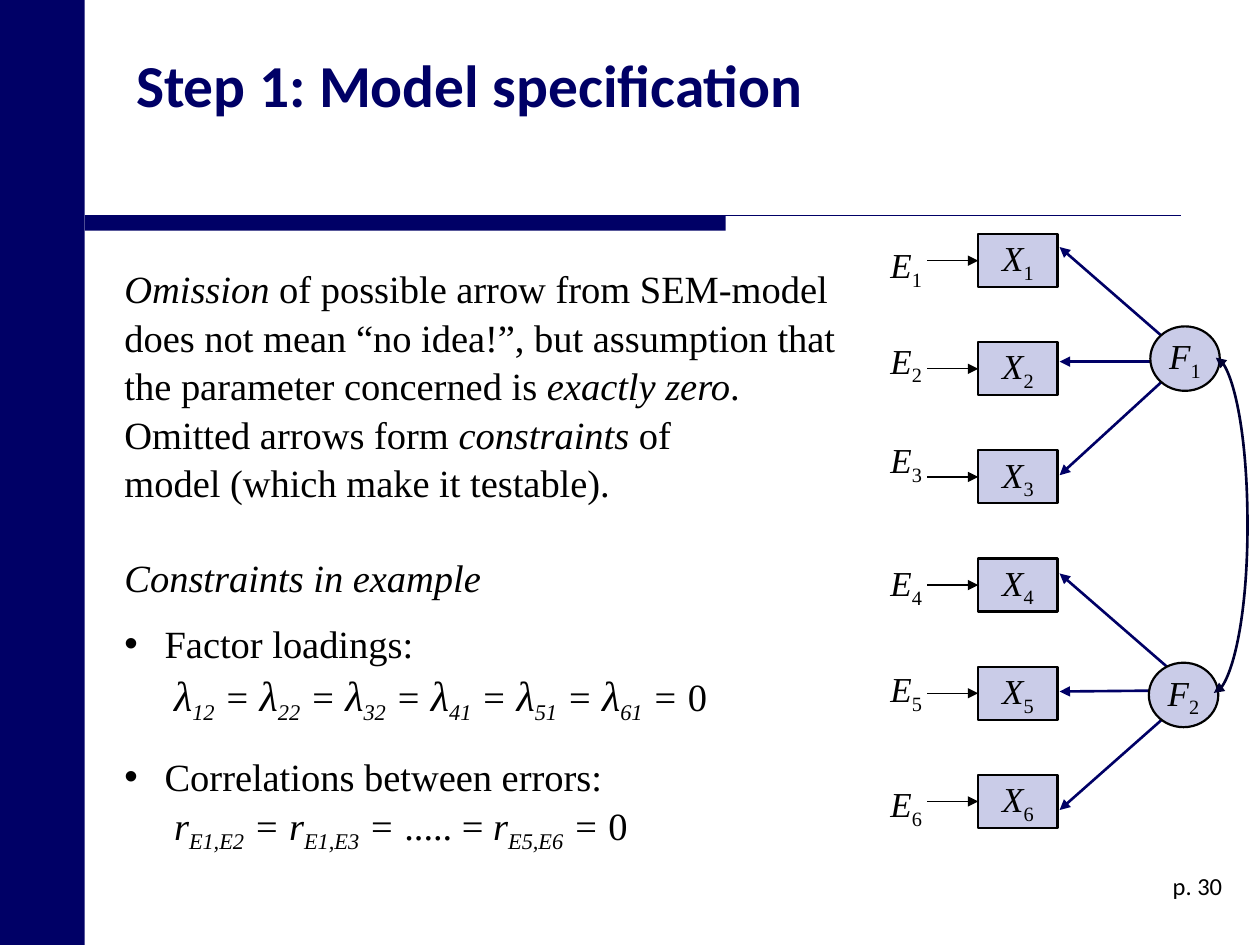
"""Build the slide on model specification with its two-factor path diagram."""
from dataclasses import dataclass

from lxml import etree
from pptx import Presentation
from pptx.dml.color import RGBColor
from pptx.enum.shapes import MSO_CONNECTOR, MSO_SHAPE
from pptx.enum.text import MSO_ANCHOR, PP_ALIGN
from pptx.oxml.ns import qn
from pptx.util import Cm, Pt

STRAIGHT, CURVE = MSO_CONNECTOR.STRAIGHT, MSO_CONNECTOR.CURVE
RECT, OVAL = MSO_SHAPE.RECTANGLE, MSO_SHAPE.OVAL
TOP, MIDDLE = MSO_ANCHOR.TOP, MSO_ANCHOR.MIDDLE
LEFT, CENTER, RIGHT = PP_ALIGN.LEFT, PP_ALIGN.CENTER, PP_ALIGN.RIGHT
COLORS = {"navy": "000066", "dark": "000033", "node": "CACCE8", "black": "000000"}
SERIF, SANS = "Times New Roman", "Calibri"


@dataclass
class Run:
    text: str
    italic: bool = False
    size: float = 22
    sub: bool = False


@dataclass
class Para:
    runs: list[Run]
    before: float = 0
    margin: float = 0
    bullet: bool = False


@dataclass
class Node:
    letter: str
    number: int
    shape: int
    left: float
    top: float
    width: float
    height: float


@dataclass
class Arrow:
    x1: float
    y1: float
    x2: float
    y2: float


X_LEFT, X_TOP, X_STEP, TIP_X = 19.72, 4.72, 2.18, 21.36
INDICATORS = [Node("X", i + 1, RECT, X_LEFT, X_TOP + i * X_STEP, 1.6, 1.07) for i in range(6)]
FACTORS = [Node("F", 1, OVAL, 23.19, 6.58, 1.4, 1.3), Node("F", 2, OVAL, 23.16, 13.36, 1.4, 1.3)]
ERROR_TOPS = [4.78, 6.71, 8.71, 11.2, 13.34, 15.65]
LOADINGS = [
    Arrow(23.52, 6.86, TIP_X, 4.98),
    Arrow(23.83, 7.29, TIP_X, 7.29),
    Arrow(23.72, 7.42, TIP_X, 9.58),
    Arrow(23.72, 13.61, TIP_X, 11.56),
    Arrow(23.52, 13.92, TIP_X, 13.94),
    Arrow(23.77, 14.2, TIP_X, 16.33),
]


def equation(terms: list[tuple[str, str]], size: float) -> list[Run]:
    """Return runs for subscripted terms that each precede an equals sign."""
    runs = []
    for symbol, index in terms:
        runs += [Run(symbol, True, size), Run(index, True, sub=True), Run(" = ", True)]
    return runs


LAMBDAS = [("λ", index) for index in ("12", "22", "32", "41", "51", "61")]
BODY = [
    Para([Run("Omission", True),
          Run(" of possible arrow from SEM-model does not mean “no idea!”, "
              "but assumption that the parameter concerned is "),
          Run("exactly zero", True), Run(".")]),
    Para([Run("Omitted arrows form "), Run("constraints", True), Run(" of")]),
    Para([Run("model (which make it testable).")]),
    Para([Run("Constraints in example", True)], before=26.5),
    Para([Run("Factor loadings:")], before=10, margin=0.81, bullet=True),
    Para(equation(LAMBDAS, 24) + [Run("0")], margin=1),
    Para([Run("Correlations between errors:")], before=14.5, margin=0.81, bullet=True),
    Para(equation([("r", "E1,E2"), ("r", "E1,E3")], 22) + [Run("..... = ")]
         + equation([("r", "E5,E6")], 22) + [Run("0")], margin=1),
]


def rgb(name: str) -> RGBColor:
    """Return a named colour."""
    return RGBColor.from_string(COLORS[name])


def add_run(p, run: Run) -> None:
    """Append a serif run, lowered when it is a subscript."""
    r = p.add_run()
    r.text = run.text
    r.font.name, r.font.size, r.font.italic = SERIF, Pt(run.size), run.italic
    r.font.color.rgb = rgb("black")
    if run.sub:
        r._r.get_or_add_rPr().set("baseline", "-25000")


def add_symbol(tf, letter: str, number: int, align) -> None:
    """Write a variable name with its subscript."""
    tf.word_wrap = False
    p = tf.paragraphs[0]
    p.alignment = align
    add_run(p, Run(letter, True, 20))
    add_run(p, Run(str(number), False, 20, True))


def add_block(s, shape, left: float, top: float, width: float, height: float, fill: str):
    """Add a filled shape without outline or shadow."""
    sp = s.shapes.add_shape(shape, Cm(left), Cm(top), Cm(width), Cm(height))
    sp.shadow.inherit = False
    sp.fill.solid()
    sp.fill.fore_color.rgb = rgb(fill)
    sp.line.fill.background()
    return sp


def add_node(s, node: Node):
    """Add a labelled variable of the model."""
    sp = add_block(s, node.shape, node.left, node.top, node.width, node.height, node.letter and "node")
    sp.line.color.rgb = rgb("black")
    sp.line.width = Pt(1.25)
    tf = sp.text_frame
    tf.margin_left = tf.margin_right = tf.margin_top = tf.margin_bottom = 0
    tf.vertical_anchor = MIDDLE
    add_symbol(tf, node.letter, node.number, CENTER)
    return sp


def add_line(s, a: Arrow, color: str, width: float, ends: tuple[str, ...] = (), kind=STRAIGHT):
    """Add a connector with triangles at the given ends."""
    c = s.shapes.add_connector(kind, Cm(a.x1), Cm(a.y1), Cm(a.x2), Cm(a.y2))
    c.line.color.rgb = rgb(color)
    c.line.width = Pt(width)
    ln = c.line._get_or_add_ln()
    for end in ends:
        etree.SubElement(ln, qn(f"a:{end}"), type="triangle")
    etree.SubElement(c._element.spPr, qn("a:effectLst"))
    return c


def add_body(s, paras: list[Para]) -> None:
    """Add the explanatory text."""
    tf = s.shapes.add_textbox(Cm(2.26), Cm(5.18), Cm(14.83), Cm(11.53)).text_frame
    tf.word_wrap = True
    for i, para in enumerate(paras):
        p = tf.paragraphs[0] if i == 0 else tf.add_paragraph()
        p.line_spacing = 1.05
        p.space_before = Pt(para.before)
        pPr = p._p.get_or_add_pPr()
        pPr.set("marL", str(Cm(para.margin)))
        if para.bullet:
            pPr.set("indent", str(-Cm(para.margin)))
            etree.SubElement(pPr, qn("a:buFont"), typeface="Arial")
            etree.SubElement(pPr, qn("a:buChar"), char="•")
        for run in para.runs:
            add_run(p, run)


def add_sans(tf, text: str, size: float, color: str, bold: bool, align, anchor) -> None:
    """Write one line of sans-serif text."""
    tf.word_wrap = True
    tf.vertical_anchor = anchor
    tf.text = text
    p = tf.paragraphs[0]
    p.alignment = align
    f = p.runs[0].font
    f.name, f.size, f.bold = SANS, Pt(size), bold
    f.color.rgb = rgb(color)


def main() -> None:
    """Build and save the slide."""
    prs = Presentation()
    prs.slide_width, prs.slide_height = Cm(25.4), Cm(19.05)
    s = prs.slides.add_slide(prs.slide_layouts[5])
    title = s.shapes.title
    title.left, title.top, title.width, title.height = Cm(2.49), Cm(0.84), Cm(19.53), Cm(3.38)
    add_sans(title.text_frame, "Step 1: Model specification", 34, "navy", True, LEFT, TOP)
    add_block(s, RECT, 0, 0, 1.71, 19.05, "navy")
    add_block(s, RECT, 1.71, 4.34, 12.92, 0.31, "navy")
    add_line(s, Arrow(1.71, 4.34, 23.8, 4.34), "navy", 0.75)
    page = s.shapes.add_textbox(Cm(19.61), Cm(17.12), Cm(5.28), Cm(1.47))
    add_sans(page.text_frame, "p. 30", 14, "black", False, RIGHT, MIDDLE)
    add_body(s, BODY)

    for loading in LOADINGS:
        add_line(s, loading, "navy", 1.5, ("tailEnd",))
    for factor in FACTORS:
        add_node(s, factor)
    for node, top in zip(INDICATORS, ERROR_TOPS):
        sp = add_node(s, node)
        y = node.top + node.height / 2
        c = add_line(s, Arrow(18.69, y, X_LEFT, y), "black", 0.75, ("tailEnd",))
        c.end_connect(sp, 1)
        label = s.shapes.add_textbox(Cm(17.7), Cm(top), Cm(1.17), Cm(1.09))
        add_symbol(label.text_frame, "E", node.number, LEFT)
    curve = add_line(s, Arrow(24.51, 7.21, 24.47, 13.97), "dark", 1.5, ("headEnd", "tailEnd"), CURVE)
    geom = curve._element.spPr.find(qn("a:prstGeom"))
    geom.set("prst", "curvedConnector3")
    guides = geom.get_or_add_avLst()
    etree.SubElement(guides, qn("a:gd"), name="adj1", fmla="val -1600000")
    prs.save("out.pptx")


if __name__ == "__main__":
    main()
